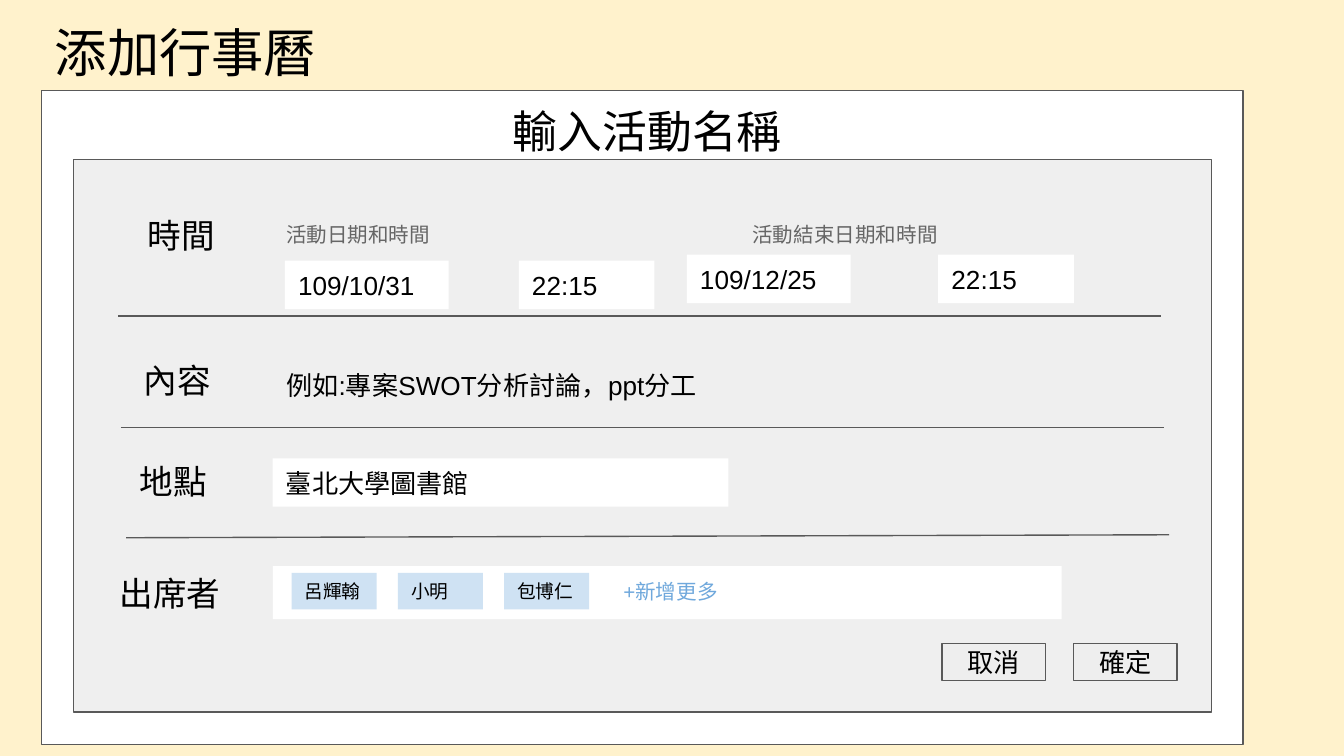
from dataclasses import dataclass

from lxml import etree
from pptx import Presentation
from pptx.dml import color
from pptx.enum import shapes, text
from pptx.oxml import ns
from pptx.util import Pt


@dataclass(frozen=True)
class Theme:
    """Colours, type sizes and font of the slide."""
    font: str = "Arial"
    background: str = "FFF2CC"
    white: str = "FFFFFF"
    panel: str = "EFEFEF"
    button: str = "EEEEEE"
    tag: str = "CFE2F3"
    rule: str = "595959"
    ink: str = "000000"
    muted: str = "666666"
    link: str = "6FA8DC"
    title: int = 28
    heading: int = 24
    label: int = 18
    body: int = 14
    caption: int = 11
    small: int = 10
    stroke: float = 0.75
    inset: float = 7.2


@dataclass(frozen=True)
class Box:
    """A rectangle in points."""
    left: float
    top: float
    width: float
    height: float

    def inner(self, dx, dy, width, height):
        """Return a box offset from this one's top left corner."""
        return Box(self.left + dx, self.top + dy, width, height)

    def lengths(self):
        """Return the four measures as slide lengths."""
        return [Pt(n) for n in (self.left, self.top, self.width, self.height)]


THEME = Theme()
LEFT, CENTER, JUSTIFY = text.PP_ALIGN.LEFT, text.PP_ALIGN.CENTER, text.PP_ALIGN.JUSTIFY
TOP, MIDDLE = text.MSO_ANCHOR.TOP, text.MSO_ANCHOR.MIDDLE


def rgb(value):
    """Turn a hex string into a colour."""
    return color.RGBColor.from_string(value)


def write(shape, words, size, ink, align, anchor):
    """Put one styled run into a shape."""
    frame = shape.text_frame
    frame.word_wrap = True
    frame.vertical_anchor = anchor
    frame.margin_left = frame.margin_right = Pt(THEME.inset)
    frame.margin_top = frame.margin_bottom = Pt(THEME.inset)
    paragraph = frame.paragraphs[0]
    paragraph.alignment = align
    run = paragraph.add_run()
    run.text = words
    run.font.name = THEME.font
    run.font.size = Pt(size)
    run.font.color.rgb = rgb(ink)


def add_words(slide, box, words, size, ink=THEME.ink, align=LEFT):
    """Add plain text in a box."""
    write(slide.shapes.add_textbox(*box.lengths()), words, size, ink, align, TOP)


def add_panel(slide, box, fill, words="", size=THEME.body, outlined=False,
              align=LEFT, anchor=MIDDLE):
    """Add a filled rectangle, with text and outline if wanted."""
    panel = slide.shapes.add_shape(shapes.MSO_SHAPE.RECTANGLE, *box.lengths())
    panel.shadow.inherit = False
    panel.fill.solid()
    panel.fill.fore_color.rgb = rgb(fill)
    if outlined:
        panel.line.color.rgb = rgb(THEME.rule)
        panel.line.width = Pt(THEME.stroke)
    else:
        panel.line.fill.background()
    if words:
        write(panel, words, size, THEME.ink, align, anchor)


def add_divider(slide, box, rise=0):
    """Draw a rule along the foot of a box, rising to the right."""
    foot = box.top + box.height
    divider = slide.shapes.add_connector(
        shapes.MSO_CONNECTOR.STRAIGHT, Pt(box.left), Pt(foot),
        Pt(box.left + box.width), Pt(foot - rise))
    divider.line.color.rgb = rgb(THEME.rule)
    divider.line.width = Pt(THEME.stroke)
    etree.SubElement(divider._element.spPr, ns.qn("a:effectLst"))


def add_dialog(slide, box):
    """Place the white card and its grey form panel."""
    add_panel(slide, box, THEME.white, " 輸入活動名稱", THEME.heading,
              outlined=True, align=CENTER, anchor=TOP)
    form = box.inner(17.1, 37.1, 609.8, 295.9)
    add_panel(slide, form, THEME.panel, outlined=True)
    return form


def add_time(slide, box):
    """Place the start and end date fields."""
    add_divider(slide, box)
    add_words(slide, box.inner(8.6, 0, 51, 36.7), "時間", THEME.label)
    periods = [
        ("活動日期和時間", 82.8, 100.8, 31.7, "109/10/31", 89.2, 214.5),
        ("活動結束日期和時間", 332.6, 123.8, 28.5, "109/12/25", 304.5, 439.2),
    ]
    for caption, caption_x, width, field_y, date, date_x, clock_x in periods:
        add_words(slide, box.inner(caption_x, 4.3, width, 28.1), caption,
                  THEME.caption, THEME.muted)
        add_panel(slide, box.inner(date_x, field_y, 87.8, 25.9), THEME.white, date)
        add_panel(slide, box.inner(clock_x, field_y, 72.7, 25.9), THEME.white, "22:15")


def add_content(slide, box):
    """Place the description row."""
    add_divider(slide, box)
    add_words(slide, box.inner(5, 0, 55.4, 25.9), "內容", THEME.label)
    add_words(slide, box.inner(81.4, 5, 409, 45.4),
              "例如:專案SWOT分析討論，ppt分工", THEME.body, align=JUSTIFY)


def add_location(slide, box):
    """Place the location row."""
    add_divider(slide, box, rise=1.6)
    add_words(slide, box.inner(0, 0, 51, 36.7), "地點", THEME.label)
    add_panel(slide, box.inner(78.5, 5.8, 244.1, 25.9), THEME.white, "臺北大學圖書館")


def add_attendees(slide, box):
    """Place the attendee field with its name tags."""
    add_words(slide, box.inner(0, 0, 72.7, 36.7), "出席者", THEME.label)
    field = box.inner(89.3, 3.8, 422.6, 28.4)
    add_panel(slide, field, THEME.white)
    for index, name in enumerate(["呂輝翰", "小明", "包博仁"]):
        add_panel(slide, field.inner(10 + 56.9 * index, 3.6, 45.6, 19.6),
                  THEME.tag, name, THEME.small)
    add_words(slide, field.inner(180.7, 0, 84.2, 28.8), "+新增更多",
              THEME.caption, THEME.link)


def add_buttons(slide, box):
    """Place the cancel and confirm buttons."""
    for index, name in enumerate(["取消", "確定"]):
        add_panel(slide, box.inner(70.5 * index, 0, 55.4, box.height),
                  THEME.button, name, outlined=True, align=CENTER)


def main():
    """Build and save the slide."""
    deck = Presentation()
    deck.slide_width, deck.slide_height = Pt(720), Pt(405)
    slide = deck.slides.add_slide(deck.slide_layouts[6])
    slide.background.fill.solid()
    slide.background.fill.fore_color.rgb = rgb(THEME.background)
    add_words(slide, Box(22.3, 3.6, 671, 45.4), "添加行事曆", THEME.title)
    form = add_dialog(slide, Box(22.3, 48.5, 643.7, 350.4))
    add_time(slide, form.inner(24, 22.4, 558.7, 61.2))
    add_content(slide, form.inner(25.4, 100.2, 558.7, 43.2))
    add_location(slide, form.inner(28.2, 154.2, 558.7, 48.3))
    add_attendees(slide, form.inner(17.5, 213.9, 511.9, 36.7))
    add_buttons(slide, form.inner(465.3, 259.3, 125.9, 19.8))
    deck.save("out.pptx")


if __name__ == "__main__":
    main()
